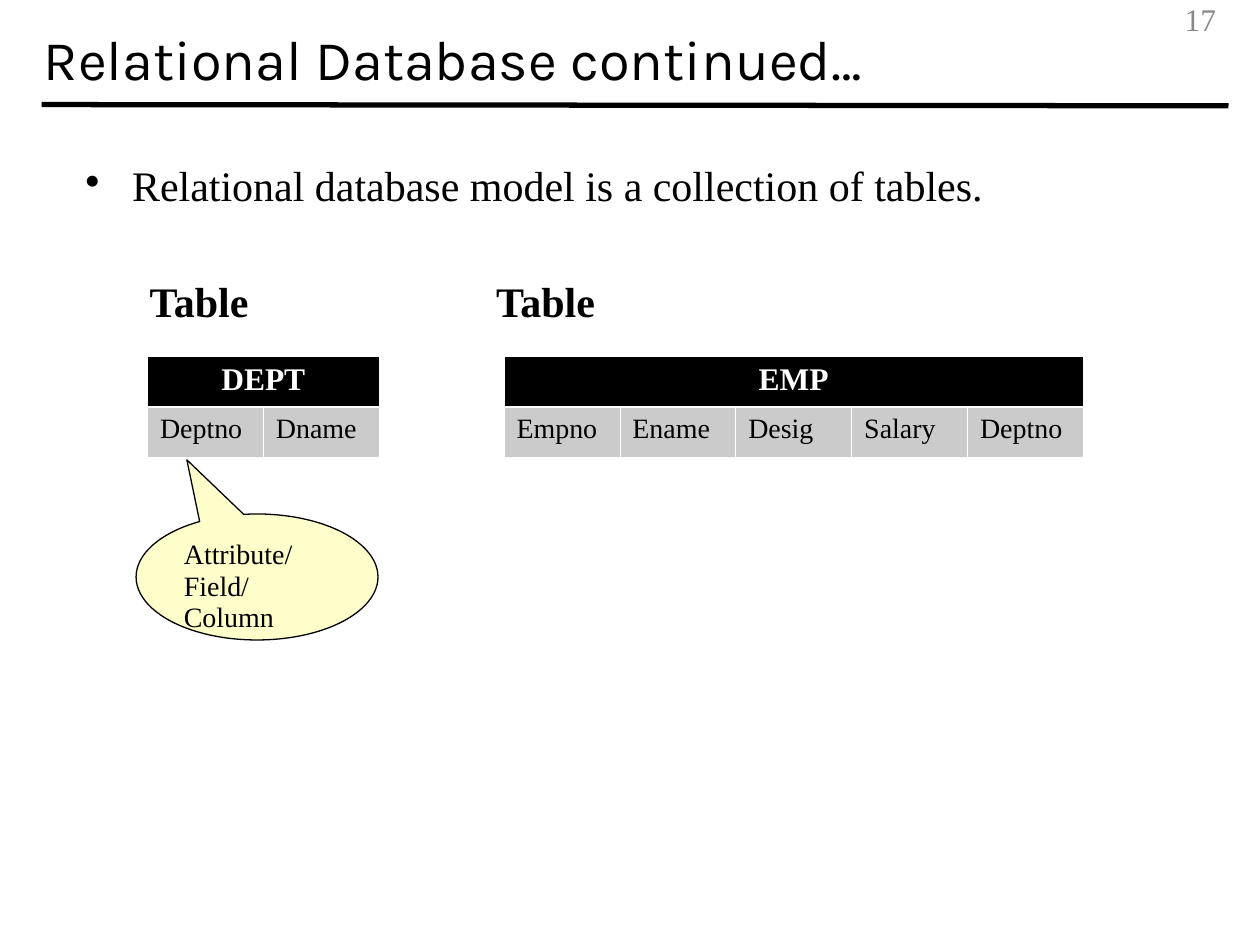
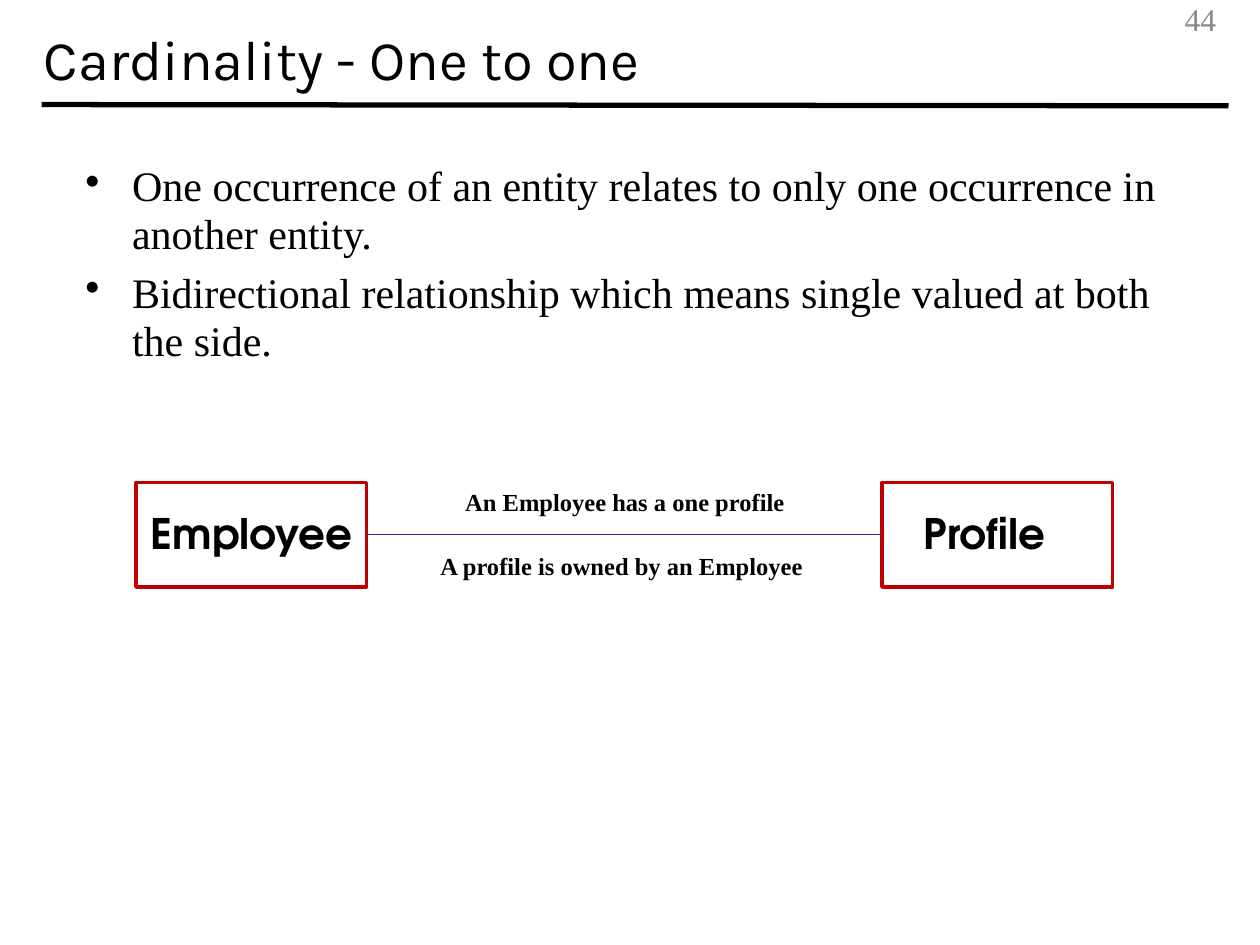
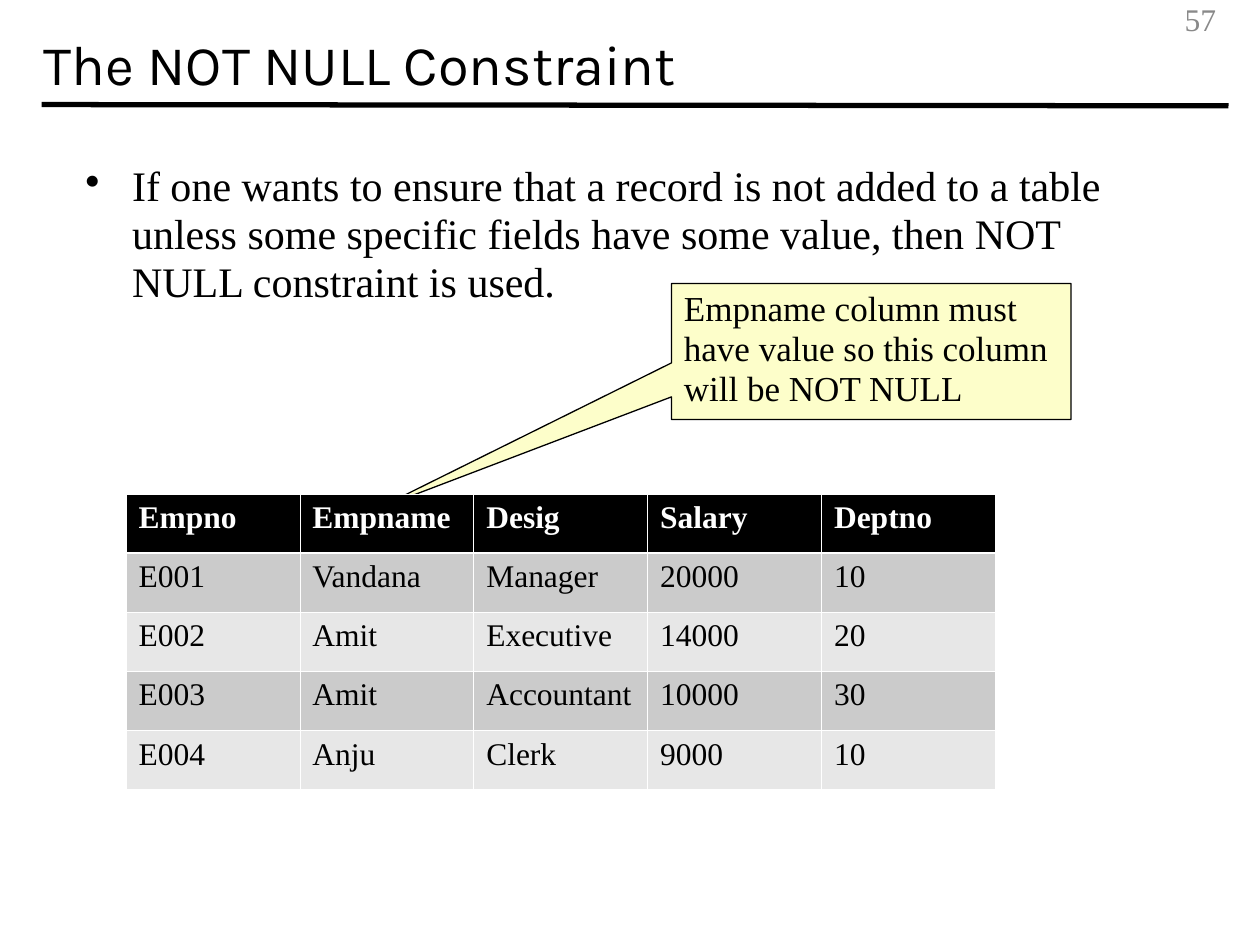
from pptx import Presentation
from pptx.dml.color import RGBColor
from pptx.enum.shapes import MSO_CONNECTOR, MSO_SHAPE
from pptx.enum.text import MSO_ANCHOR, PP_ALIGN
from pptx.oxml.ns import qn
from pptx.util import Inches, Pt
from lxml import etree

BLACK = RGBColor(0x00, 0x00, 0x00)
WHITE = RGBColor(0xFF, 0xFF, 0xFF)
GREY = RGBColor(0x89, 0x89, 0x89)
DARK_BAND = RGBColor(0xCB, 0xCB, 0xCB)
LIGHT_BAND = RGBColor(0xE7, 0xE7, 0xE7)
CREAM = RGBColor(0xFD, 0xFE, 0xCA)
RED = RGBColor(0xC0, 0x00, 0x00)
BLUE = RGBColor(0x2E, 0x2E, 0xCB)

TITLE_FONT = "Karla"
BODY_FONT = "Times New Roman"
ENTITY_FONT = "TeX Gyre Adventor"

LEFT, CENTER, RIGHT = PP_ALIGN.LEFT, PP_ALIGN.CENTER, PP_ALIGN.RIGHT
MIDDLE = MSO_ANCHOR.MIDDLE
RECTANGLE = MSO_SHAPE.RECTANGLE
OVAL_CALLOUT = MSO_SHAPE.OVAL_CALLOUT
BOX_CALLOUT = MSO_SHAPE.RECTANGULAR_CALLOUT
STRAIGHT = MSO_CONNECTOR.STRAIGHT

THIN, THICK = 0.45, 1.47  # table borders in points


def write(frame, *lines, size=18, font=BODY_FONT, color=BLACK, bold=False,
          align=LEFT, spacing=0.95, before=0, bullet=False):
    """Fill a text frame with one paragraph per line."""
    for index, line in enumerate(lines):
        para = frame.add_paragraph() if index else frame.paragraphs[0]
        para.alignment = align
        para.line_spacing = spacing
        if index and before:
            para.space_before = Pt(before)
        if bullet:
            properties = para._p.get_or_add_pPr()
            properties.set("marL", str(Inches(0.37)))
            properties.set("indent", str(-Inches(0.37)))
            etree.SubElement(properties, qn("a:buChar"), char="•")
        span = para.add_run()
        span.text = line
        span.font.size = Pt(size)
        span.font.name = font
        span.font.bold = bold
        span.font.color.rgb = color


def add_text(page, box, *lines, anchor=MSO_ANCHOR.TOP, extra_right=0, **style):
    frame = page.shapes.add_textbox(*map(Inches, box)).text_frame
    frame.word_wrap = True
    frame.vertical_anchor = anchor
    frame.margin_right = Inches(0.1 + extra_right)
    write(frame, *lines, **style)


def add_block(page, kind, box, *lines, fill=CREAM, line=BLACK, width=0.75,
              pointer=(), anchor=MSO_ANCHOR.TOP, extra_right=0, **style):
    """Draw a filled shape with text; pointer places a callout's tip."""
    shape = page.shapes.add_shape(kind, *map(Inches, box))
    shape.shadow.inherit = False
    shape.fill.solid()
    shape.fill.fore_color.rgb = fill
    shape.line.color.rgb = line
    shape.line.width = Pt(width)
    for index, offset in enumerate(pointer):
        shape.adjustments[index] = offset
    frame = shape.text_frame
    frame.word_wrap = True
    frame.vertical_anchor = anchor
    frame.margin_right = Inches(0.1 + extra_right)
    write(frame, *lines, **style)


def add_line(page, start, end, color, width):
    line = page.shapes.add_connector(STRAIGHT, *map(Inches, start + end))
    line.line.color.rgb = color
    line.line.width = Pt(width)
    etree.SubElement(line._element.spPr, qn("a:effectLst"))


def set_borders(cell, top, bottom):
    properties = cell._tc.get_or_add_tcPr()
    for side, width in zip("LRTB", (THIN, THIN, top, bottom)):
        border = etree.SubElement(properties, qn(f"a:ln{side}"), w=str(Pt(width)))
        fill = etree.SubElement(border, qn("a:solidFill"))
        etree.SubElement(fill, qn("a:srgbClr"), val=str(WHITE))


def add_grid(page, left, top, column_width, row_height, rows, body_size=18):
    """Draw a banded table; a single header entry spans every column."""
    columns = len(rows[-1])
    grid = page.shapes.add_table(
        len(rows), columns, Inches(left), Inches(top),
        Inches(column_width * columns), Inches(row_height * len(rows))).table
    grid.horz_banding = False
    for row_index, values in enumerate(rows):
        header = row_index == 0
        band = BLACK if header else (LIGHT_BAND, DARK_BAND)[row_index % 2]
        spanned = len(values) < columns
        for column in range(columns):
            cell = grid.cell(row_index, column)
            set_borders(cell, THICK if row_index == 1 else THIN,
                        THICK if header else THIN)
            cell.fill.solid()
            cell.fill.fore_color.rgb = band
            if column < len(values):
                write(cell.text_frame, values[column], spacing=1, bold=header,
                      size=18 if header else body_size,
                      color=WHITE if header else BLACK,
                      align=CENTER if spanned else LEFT)
        if spanned:
            grid.cell(row_index, 0).merge(grid.cell(row_index, columns - 1))


def add_page(deck, number, title, bullets, title_spacing=1.01):
    """Start a slide with the shared rule, title, bullets and page number."""
    page = deck.slides.add_slide(deck.slide_layouts[6])
    add_line(page, (0.33, 0.83), (9.75, 0.84), BLACK, 3)
    add_text(page, (0.25, 0, 9.5, 0.91), title, size=32, font=TITLE_FONT,
             spacing=title_spacing, anchor=MIDDLE)
    add_text(page, (0.58, 1.25, 8.83, 5.83), *bullets, size=24, before=6,
             bullet=True)
    add_text(page, (7.67, 0, 2.08, 0.33), str(number), color=GREY,
             align=RIGHT, anchor=MIDDLE)
    return page


def add_schema(page, left, top, label_offset, name, fields):
    """Place a table label with the table's name and fields below it."""
    add_text(page, (left + label_offset, top, 1.02, 0.48), "Table", size=24,
             bold=True, align=CENTER)
    add_grid(page, left, top + 0.66, 0.92, 0.4, [[name], fields], body_size=16)


def add_relationship(page, left, top, entities, labels):
    """Join two entity boxes by a line with a label above and below it."""
    width, height, distance = 1.83, 0.83, 5.92
    for index, (name, extra) in enumerate(entities):
        add_block(page, RECTANGLE, (left + index * distance, top, width, height),
                  name, fill=WHITE, line=RED, width=2, anchor=MIDDLE, size=24,
                  font=ENTITY_FONT, bold=True, align=CENTER, extra_right=extra)
    middle = top + height / 2
    add_line(page, (left + width, middle), (left + distance, middle), BLUE, 0.75)
    for index, (label, extra) in enumerate(labels):
        add_text(page, (left + 1.92, top + index * 0.51, 3.92, 0.32), label,
                 size=14, bold=True, align=CENTER, extra_right=extra)


def relational_page(deck):
    page = add_page(deck, 17, "Relational Database continued…",
                    ["Relational database model is a collection of tables."])
    add_schema(page, 4, 2.17, -0.18, "EMP",
               ["Empno", "Ename", "Desig", "Salary", "Deptno"])
    add_schema(page, 1.17, 2.17, -0.1, "DEPT", ["Deptno", "Dname"])
    add_block(page, OVAL_CALLOUT, (1.08, 4.08, 1.92, 1), "Attribute/", "Field/",
              "Column", size=16, pointer=(-0.29, -0.93))


def cardinality_page(deck):
    page = add_page(deck, 44, "Cardinality - One to one", [
        "One occurrence of an entity relates to only one occurrence in another entity.",
        "Bidirectional relationship which means single valued at both the side."])
    add_relationship(page, 1.08, 3.83, [("Employee", 0), ("Profile", 0.2)],
                     [("An Employee has a one profile", 0),
                      ("A profile is owned by an Employee", 0.05)])


def not_null_page(deck):
    page = add_page(deck, 57, "The NOT NULL Constraint", [
        "If one wants to ensure that a record is not added to a table unless some "
        "specific fields have some value, then NOT NULL constraint is used."],
        title_spacing=1.17)
    add_block(page, BOX_CALLOUT, (5.33, 2.25, 3.17, 1.08),
              "Empname column must have value so this column will be NOT NULL",
              size=20, pointer=(-1.24, 1.16))
    add_grid(page, 1, 3.92, 1.38, 0.47, [
        ["Empno", "Empname", "Desig", "Salary", "Deptno"],
        ["E001", "Vandana", "Manager", "20000", "10"],
        ["E002", "Amit", "Executive", "14000", "20"],
        ["E003", "Amit", "Accountant", "10000", "30"],
        ["E004", "Anju", "Clerk", "9000", "10"]])


def main():
    deck = Presentation()
    deck.slide_width, deck.slide_height = Inches(10), Inches(7.5)
    relational_page(deck)
    cardinality_page(deck)
    not_null_page(deck)
    deck.save("out.pptx")


if __name__ == "__main__":
    main()
